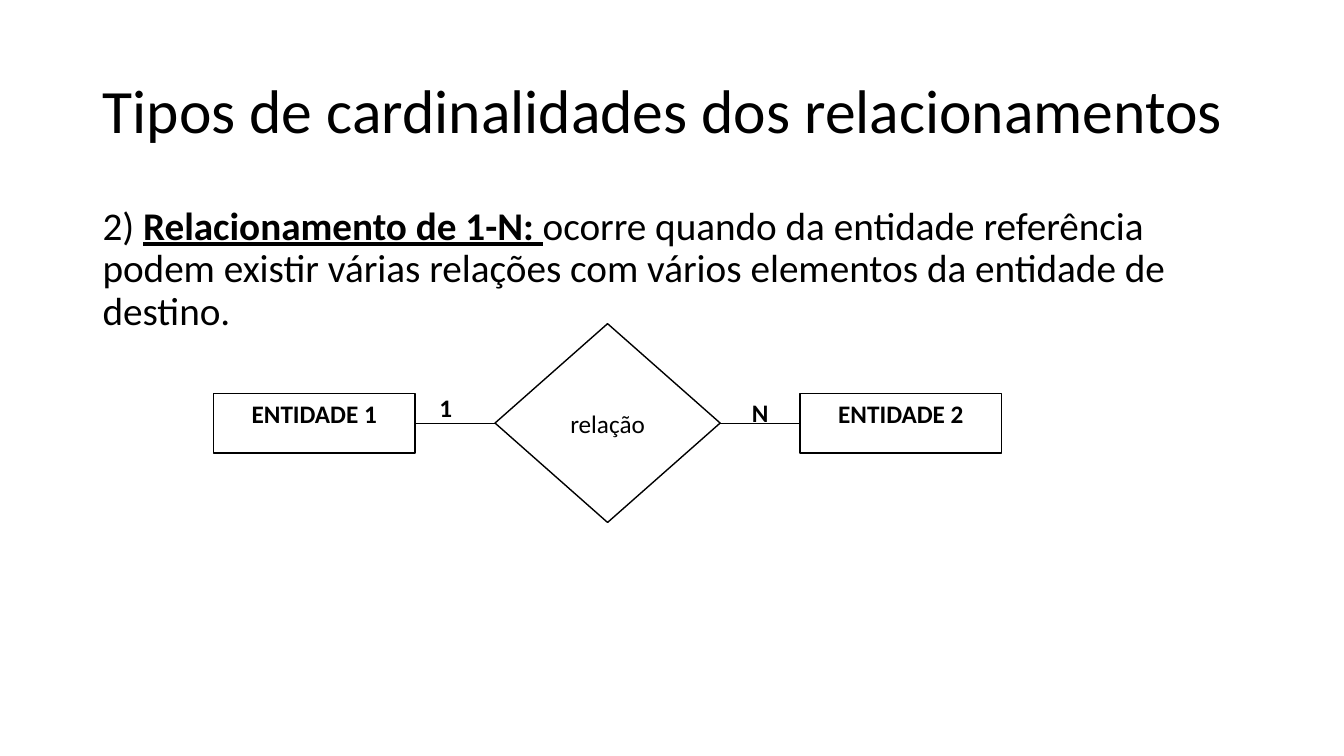
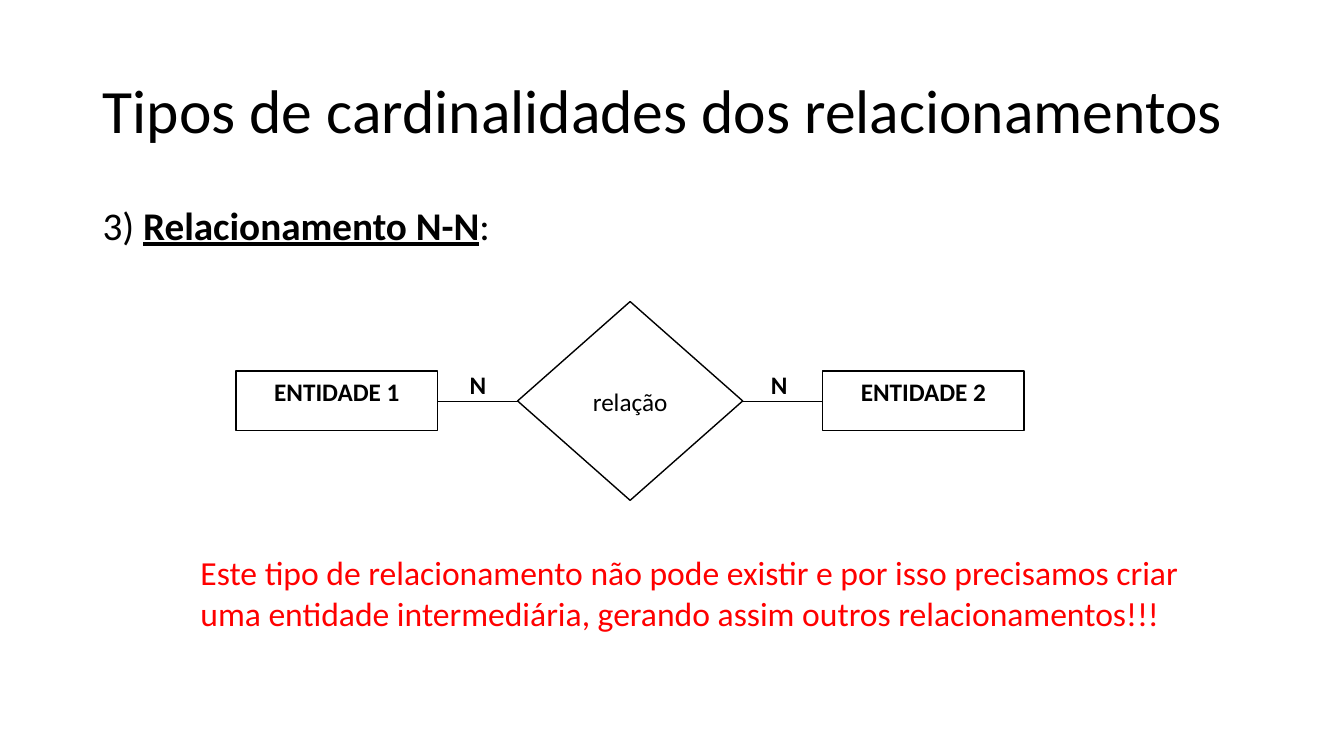
from lxml.etree import SubElement
from pptx import Presentation
from pptx.dml.color import RGBColor
from pptx.enum.shapes import MSO_CONNECTOR, MSO_SHAPE
from pptx.enum.text import MSO_ANCHOR, MSO_AUTO_SIZE, PP_ALIGN
from pptx.oxml.ns import qn
from pptx.util import Pt

BLACK = RGBColor(0, 0, 0)
WHITE = RGBColor(255, 255, 255)
RED = RGBColor(255, 0, 0)
FONT = "Calibri"
TITLE = "Tipos de cardinalidades dos relacionamentos"
TITLE_BOX = (66.2, 28.8, 828, 104.4)
BODY_BOX = (66.2, 144, 828, 342.7)
DIAGRAM_SIZE = (563, 142)
ENTITY_W, ENTITY_H, DECISION_W = 144, 42.6, 160.8


def write(tf, runs, size=18, color=BLACK, align=PP_ALIGN.LEFT,
          anchor=MSO_ANCHOR.TOP, wrap=True, spacing=None, before=0):
    """Write one paragraph of (text, bold, underline) runs."""
    tf.word_wrap = wrap
    tf.auto_size = MSO_AUTO_SIZE.NONE
    tf.vertical_anchor = anchor
    p = tf.paragraphs[0]
    p.alignment = align
    p.line_spacing = spacing
    p.space_before = Pt(before)
    for text, bold, underline in runs:
        r = p.add_run()
        r.text = text
        r.font.name = FONT
        r.font.size = Pt(size)
        r.font.bold = bold
        r.font.underline = underline
        r.font.color.rgb = color


def add_text(s, box, runs, **fmt):
    """Add a text box at the given box."""
    tb = s.shapes.add_textbox(*map(Pt, box))
    write(tb.text_frame, runs, **fmt)


def add_node(group, kind, box, text, bold, anchor):
    """Add an outlined white shape with a centred label."""
    sp = group.shapes.add_shape(kind, *map(Pt, box))
    sp.shadow.inherit = False
    sp.fill.solid()
    sp.fill.fore_color.rgb = WHITE
    sp.line.color.rgb = BLACK
    sp.line.width = Pt(1)
    write(sp.text_frame, [(text, bold, False)],
          align=PP_ALIGN.CENTER, anchor=anchor)
    return sp


def add_link(group, left_node, right_node):
    """Join the right side of one node to the left side of the next."""
    cx = group.shapes.add_connector(MSO_CONNECTOR.STRAIGHT, 0, 0, 0, 0)
    cx.begin_connect(left_node, 3)
    cx.end_connect(right_node, 1)
    cx.line.color.rgb = BLACK
    cx.line.width = Pt(0.5)
    SubElement(cx._element.spPr, qn("a:effectLst"))


def add_diagram(s, box, labels, wrap):
    """Draw entity, relation, entity, with (text, dx, dy) cardinality labels."""
    x, y, w, h = box
    group = s.shapes.add_group_shape()
    entity_y = y + (h - ENTITY_H) / 2
    first, second = [
        add_node(group, MSO_SHAPE.RECTANGLE,
                 (left, entity_y, ENTITY_W, ENTITY_H),
                 f"ENTIDADE {i}", True, MSO_ANCHOR.TOP)
        for i, left in enumerate((x, x + w - ENTITY_W), 1)]
    relation = add_node(group, MSO_SHAPE.FLOWCHART_DECISION,
                        (x + (w - DECISION_W) / 2, y, DECISION_W, h),
                        "relação", False, MSO_ANCHOR.MIDDLE)
    add_link(group, first, relation)
    add_link(group, relation, second)
    for text, dx, dy in labels:
        add_text(s, (x + dx, y + dy, 26.4, 29),
                 [(text, True, False)], wrap=wrap)


def add_cardinality_slide(prs, body, origin, labels, wrap=True):
    """Add a slide with the shared title, a body paragraph and a diagram."""
    s = prs.slides.add_slide(prs.slide_layouts[5])
    title = s.shapes.title
    title.left, title.top, title.width, title.height = map(Pt, TITLE_BOX)
    write(title.text_frame, [(TITLE, False, False)], size=44,
          anchor=MSO_ANCHOR.MIDDLE, spacing=0.9)
    add_text(s, BODY_BOX, body, size=28, spacing=0.9, before=10)
    add_diagram(s, origin + DIAGRAM_SIZE, labels, wrap)
    return s


def main():
    """Build and save the presentation."""
    prs = Presentation()
    prs.slide_width, prs.slide_height = Pt(960), Pt(540)
    add_cardinality_slide(
        prs,
        [("2) ", False, False),
         ("Relacionamento de 1-N: ", True, True),
         ("ocorre quando da entidade referência podem existir várias relações "
          "com vários elementos da entidade de destino.", False, False)],
        (152.5, 231.2), [("1", 154.2, 45.3), ("N", 377.4, 48.9)])
    s = add_cardinality_slide(
        prs,
        [("3) ", False, False),
         ("Relacionamento N-N", True, True),
         (":", False, False)],
        (168.6, 215.4), [("N", 159.7, 44.6), ("N", 375, 44.6)], wrap=False)
    add_text(s, (136.1, 391, 720, 65.5),
             [("Este tipo de relacionamento não pode existir e por isso "
               "precisamos criar uma entidade intermediária, gerando assim "
               "outros relacionamentos!!!", False, False)],
             size=24, color=RED)
    prs.save("out.pptx")


main()
